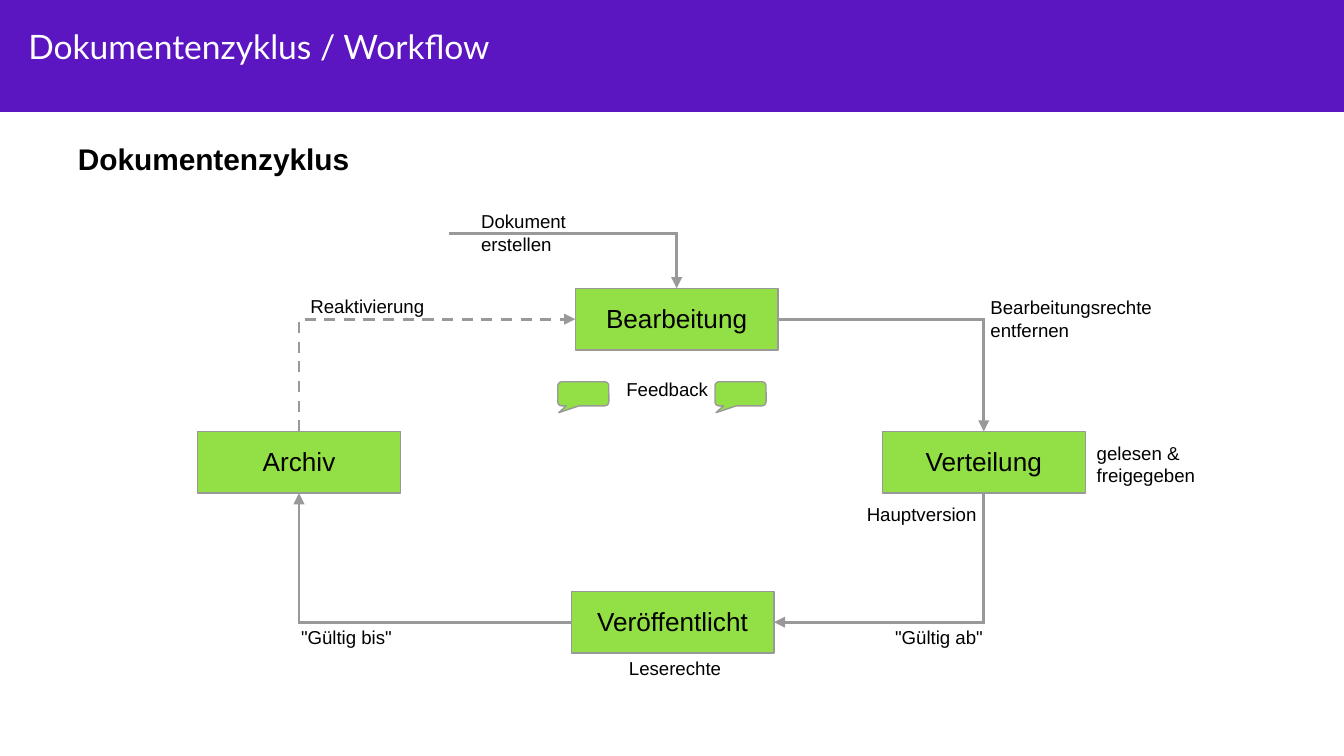
from dataclasses import dataclass

from lxml.etree import SubElement
from pptx import Presentation
from pptx.dml.color import RGBColor
from pptx.enum.dml import MSO_LINE
from pptx.enum.shapes import MSO_SHAPE
from pptx.enum.text import MSO_ANCHOR, MSO_AUTO_SIZE, PP_ALIGN
from pptx.oxml.ns import qn
from pptx.util import Inches, Pt


@dataclass(frozen=True)
class Theme:
    purple: RGBColor = RGBColor(0x5C, 0x16, 0xC1)
    green: RGBColor = RGBColor(0x93, 0xDF, 0x46)
    grey: RGBColor = RGBColor(0x99, 0x99, 0x99)
    white: RGBColor = RGBColor(255, 255, 255)
    black: RGBColor = RGBColor(0, 0, 0)
    title_font: str = "Lato"
    body_font: str = "Arial"
    title_size: float = 18
    heading_size: float = 16
    state_size: float = 14
    label_size: float = 10
    outline: float = 0.75
    arrow: float = 1.5


THEME = Theme()

# The slide is a grid of 100 columns by 56.25 rows; all lengths are in cells
COLUMNS, ROWS = 100, 56.25
BAND_ROWS = 8.35
STATE_SIZE = (15.1, 4.6)
BUBBLE_SIZE = (3.8, 1.8)
TWO_LINES = 3.6


def grid(*cells):
    return [Inches(cell / 10) for cell in cells]


def style_text(frame, size, font=THEME.body_font, color=THEME.black,
               align=PP_ALIGN.LEFT, anchor=MSO_ANCHOR.TOP, bold=False):
    frame.margin_left = frame.margin_right = frame.margin_top = Inches(0.02)
    frame.margin_bottom = Inches(0.04)
    frame.vertical_anchor = anchor
    frame.auto_size = MSO_AUTO_SIZE.NONE
    for paragraph in frame.paragraphs:
        paragraph.alignment = align
        paragraph.font.name = font
        paragraph.font.size = Pt(size)
        paragraph.font.bold = bold
        paragraph.font.color.rgb = color


def add_panel(slide):
    panel = slide.shapes.add_shape(
        MSO_SHAPE.RECTANGLE, *grid(0, BAND_ROWS, COLUMNS, ROWS - BAND_ROWS))
    panel.shadow.inherit = False
    panel.fill.solid()
    panel.fill.fore_color.rgb = THEME.white
    panel.line.fill.background()


def set_title(slide, text):
    title = slide.shapes.title
    title.left, title.top, title.width, title.height = grid(1.9, 1.7, 51.2, 3.3)
    title.text_frame.text = text
    style_text(title.text_frame, THEME.title_size, THEME.title_font, THEME.white)


def add_label(slide, text, left, top, width, height=1.9,
              size=THEME.label_size, bold=False):
    label = slide.shapes.add_textbox(*grid(left, top, width, height))
    label.text_frame.text = text
    label.text_frame.word_wrap = height == TWO_LINES
    style_text(label.text_frame, size, bold=bold)


def add_green_shape(slide, kind, left, top, size):
    shape = slide.shapes.add_shape(kind, *grid(left, top, *size))
    shape.shadow.inherit = False
    shape.fill.solid()
    shape.fill.fore_color.rgb = THEME.green
    shape.line.color.rgb = THEME.grey
    shape.line.width = Pt(THEME.outline)
    return shape


def add_state(slide, name, left, top):
    state = add_green_shape(slide, MSO_SHAPE.RECTANGLE, left, top, STATE_SIZE)
    state.text_frame.text = name
    style_text(state.text_frame, THEME.state_size,
               align=PP_ALIGN.CENTER, anchor=MSO_ANCHOR.MIDDLE)
    return state


def add_bubble(slide, left, top):
    bubble = add_green_shape(
        slide, MSO_SHAPE.ROUNDED_RECTANGULAR_CALLOUT, left, top, BUBBLE_SIZE)
    bubble.adjustments[0] = -0.48
    bubble.adjustments[1] = 0.78


def side_middle(shape, side):
    across, down = {"top": (0.5, 0), "left": (0, 0.5),
                    "bottom": (0.5, 1), "right": (1, 0.5)}[side]
    return (shape.left + int(shape.width * across),
            shape.top + int(shape.height * down))


def add_corner_arrow(slide, start, end, level, dashed=False):
    """Draw an arrow with one corner; level means it sets off sideways."""
    corner = (end[0], start[1]) if level else (start[0], end[1])
    outline = slide.shapes.build_freeform(*start)
    outline.add_line_segments([corner, end], close=False)
    arrow = outline.convert_to_shape()
    arrow.shadow.inherit = False
    arrow.fill.background()
    arrow.line.color.rgb = THEME.grey
    arrow.line.width = Pt(THEME.arrow)
    if dashed:
        arrow.line.dash_style = MSO_LINE.DASH
    line = arrow._element.spPr.find(qn("a:ln"))
    SubElement(line, qn("a:miter"), lim="800000")
    SubElement(line, qn("a:tailEnd"), type="triangle")


def main():
    deck = Presentation()
    deck.slide_width, deck.slide_height = grid(COLUMNS, ROWS)
    slide = deck.slides.add_slide(deck.slide_layouts[5])

    # Purple title band above a white panel
    slide.background.fill.solid()
    slide.background.fill.fore_color.rgb = THEME.purple
    add_panel(slide)
    set_title(slide, "Dokumentenzyklus / Workflow")
    add_label(slide, "Dokumentenzyklus", 5.6, 10.3, 20.4, 2.9,
              THEME.heading_size, bold=True)

    # States of the cycle
    archive = add_state(slide, "Archiv", 14.7, 32.1)
    distribution = add_state(slide, "Verteilung", 65.65, 32.1)
    published = add_state(slide, "Veröffentlicht", 42.5, 44)
    editing = add_state(slide, "Bearbeitung", 42.8, 21.45)

    # Transitions
    for start, end, level, dashed in (
        (grid(33.4, 17.35), side_middle(editing, "top"), True, False),
        (side_middle(editing, "right"), side_middle(distribution, "top"), True, False),
        (side_middle(distribution, "bottom"), side_middle(published, "right"), False, False),
        (side_middle(published, "left"), side_middle(archive, "bottom"), True, False),
        (side_middle(archive, "top"), side_middle(editing, "left"), False, True),
    ):
        add_corner_arrow(slide, start, end, level, dashed)

    # Feedback bubbles
    for left in (41.5, 53.2):
        add_bubble(slide, left, 28.4)

    # Labels: text, left, top, width and, for two lines, height
    for label in (
        ("Dokument erstellen", 35.6, 15.45, 6.9, TWO_LINES),
        ("Reaktivierung", 22.9, 21.7, 8.7),
        ("Bearbeitungsrechte entfernen", 73.5, 21.85, 12.7, TWO_LINES),
        ("Feedback", 46.4, 27.95, 6.4),
        ("gelesen &\nfreigegeben", 81.4, 32.65, 7.8, TWO_LINES),
        ("Hauptversion", 64.3, 37.2, 8.4),
        ('"Gültig ab"', 66.4, 46.4, 6.8),
        ('"Gültig bis"', 22.2, 46.4, 7),
        ("Leserechte", 46.6, 48.7, 7.1),
    ):
        add_label(slide, *label)

    deck.save("out.pptx")


if __name__ == "__main__":
    main()
